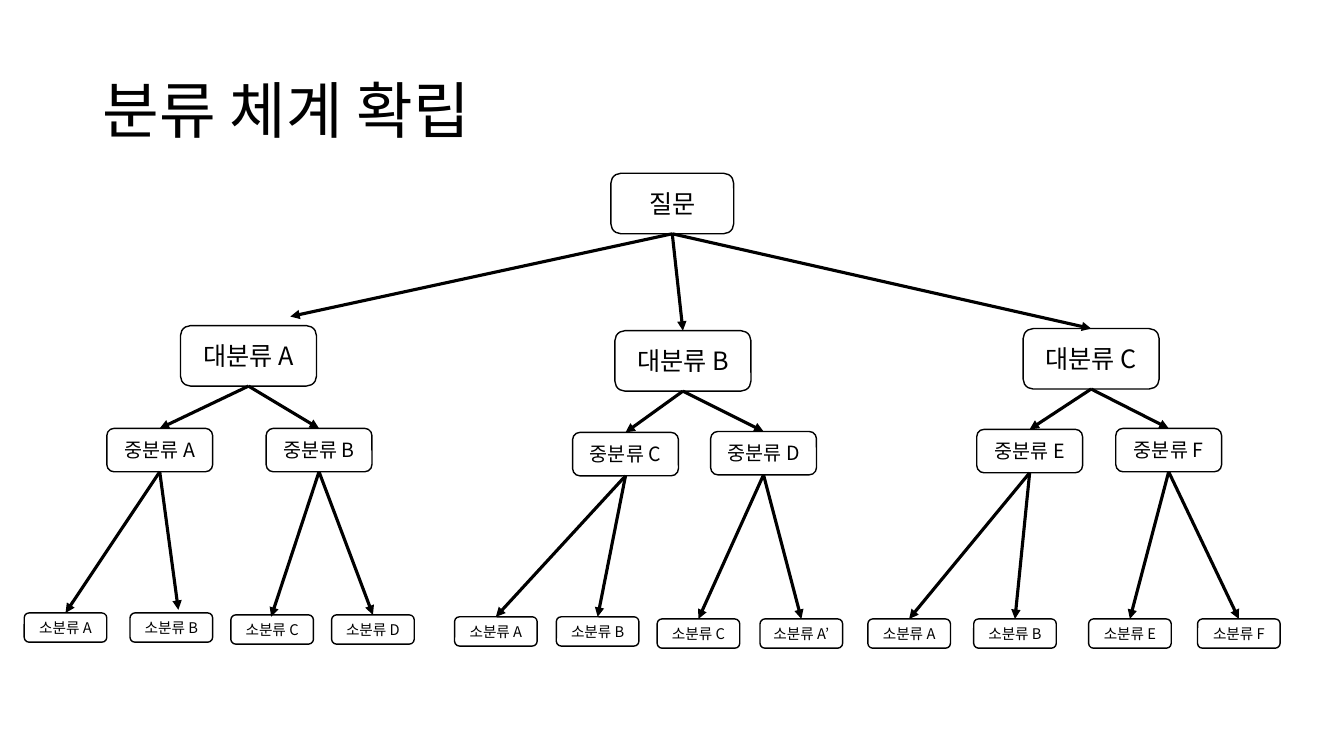
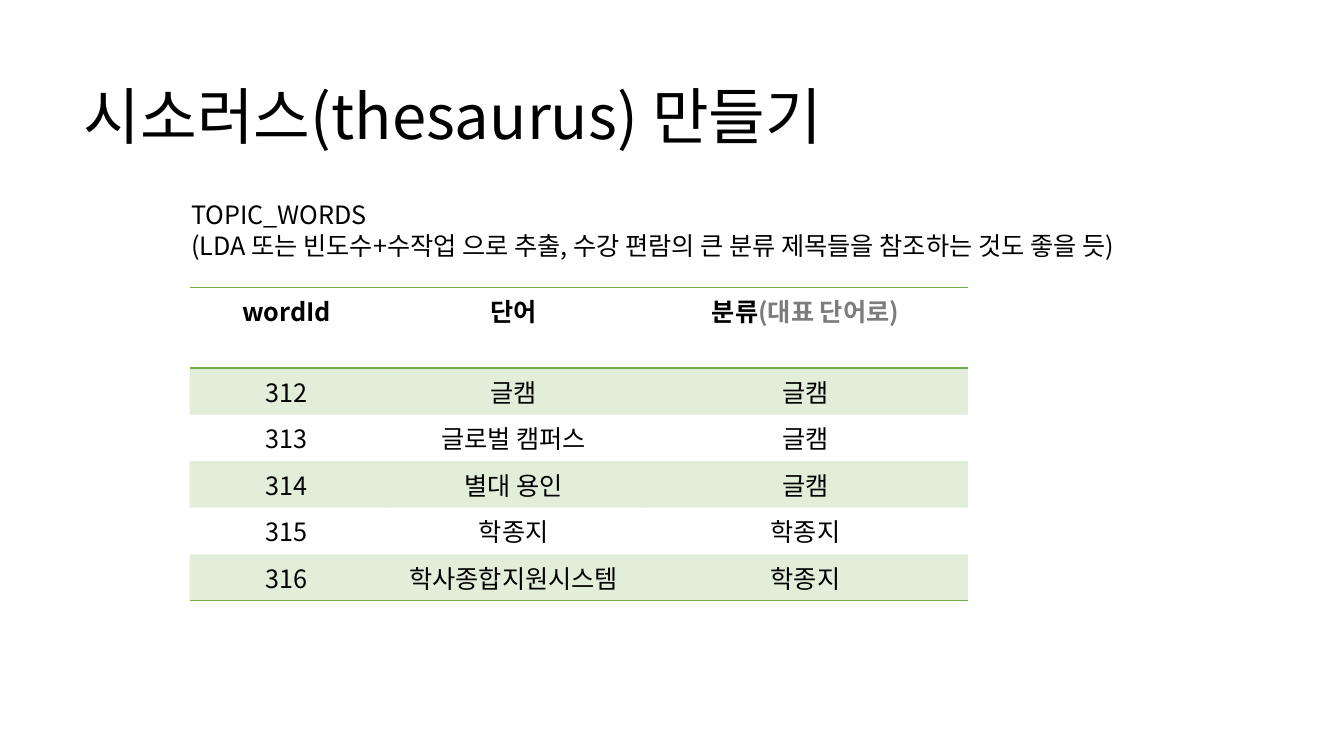
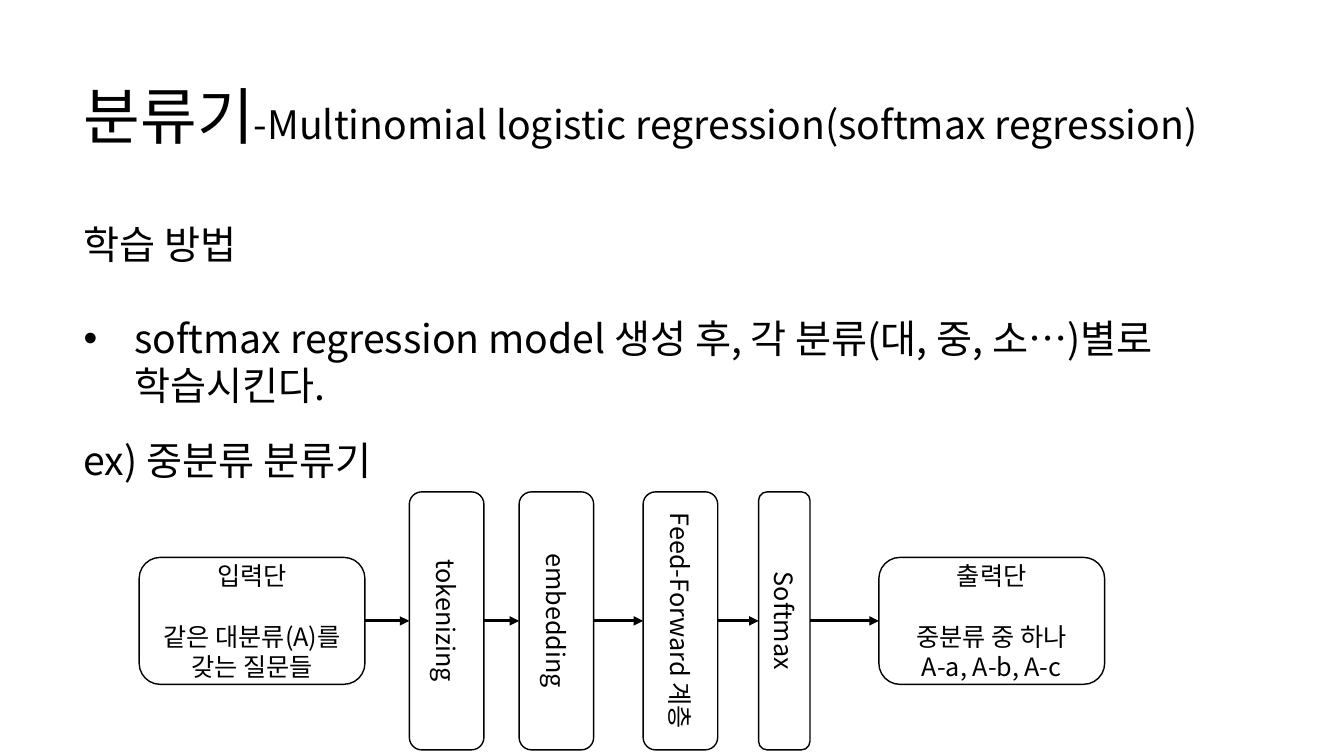
from dataclasses import dataclass
from typing import Optional

from lxml import etree
from pptx import Presentation
from pptx.dml.color import RGBColor
from pptx.enum.shapes import MSO_CONNECTOR, MSO_SHAPE
from pptx.enum.text import MSO_ANCHOR, MSO_AUTO_SIZE, PP_ALIGN
from pptx.oxml.ns import qn
from pptx.util import Pt

COLORS = {"ink": "000000", "paper": "FFFFFF", "green": "70AD47", "muted": "7C7C7C"}
FONT = "Noto Sans CJK KR"
ROUNDED = MSO_SHAPE.ROUNDED_RECTANGLE
STRAIGHT = MSO_CONNECTOR.STRAIGHT
LEFT, CENTER = PP_ALIGN.LEFT, PP_ALIGN.CENTER
MIDDLE, TOP = MSO_ANCHOR.MIDDLE, MSO_ANCHOR.TOP
FIXED = MSO_AUTO_SIZE.NONE
TITLE_ONLY, TITLE_AND_CONTENT = 5, 1
PLAIN_TABLE = "{2D5ABB26-0587-4C30-8999-92F81FD0307C}"
TITLE_AT = (52.6, 33.1)
LEVELS = [(87.8, 43.2, 18), (97.2, 43.2, 18), (75.6, 31, 14), (59, 20.9, 10.5)]


@dataclass
class Node:
    """A category box, its children and an optional arrow tip."""
    label: str
    left: float
    top: float
    children: tuple = ()
    tip: Optional[tuple] = None


TREE = Node("질문", 436.3, 123.8, (
    Node("대분류 A", 128.9, 232.6, (
        Node("중분류 A", 76.3, 306, (
            Node("소분류 A", 17.3, 437.8),
            Node("소분류 B", 92.9, 437.8, tip=(127.4, 435.6)))),
        Node("중분류 B", 190.1, 306, (
            Node("소분류 C", 164.9, 439.2, tip=(193.7, 440.6)),
            Node("소분류 D", 236.9, 439.2)))), tip=(207.4, 226.1)),
    Node("대분류 B", 439.2, 236.2, (
        Node("중분류 C", 409, 308.9, (
            Node("소분류 A", 324.7, 440.6), Node("소분류 B", 397.4, 440.6))),
        Node("중분류 D", 507.6, 308.2, (
            Node("소분류 C", 469.4, 442.1), Node("소분류 A’", 542.9, 442.1))))),
    Node("대분류 C", 730.8, 234.7, (
        Node("중분류 E", 697.7, 306.7, (
            Node("소분류 A", 619.9, 442.1), Node("소분류 B", 695.5, 442.1))),
        Node("중분류 F", 797, 306, (
            Node("소분류 E", 777.6, 442.1), Node("소분류 F", 855.4, 442.1)))))))

WORDS = [
    ("312", "글캠", "글캠"),
    ("313", "글로벌 캠퍼스", "글캠"),
    ("314", "별대 용인", "글캠"),
    ("315", "학종지", "학종지"),
    ("316", "학사종합지원시스템", "학종지"),
]


def color(name):
    """Return a palette colour."""
    return RGBColor.from_string(COLORS[name])


def style(span, size, ink="ink", bold=False):
    """Format one run, for Latin and Korean text alike."""
    font = span.font
    font.name, font.size, font.bold = FONT, Pt(size), bold
    font.color.rgb = color(ink)
    etree.SubElement(font._element, qn("a:ea"), typeface=FONT)


def write(frame, lines, size, align=LEFT, anchor=TOP):
    """Fill a text frame with one paragraph per line."""
    frame.word_wrap = True
    frame.auto_size = FIXED
    frame.vertical_anchor = anchor
    frame.text = "\n".join(lines)
    for para in frame.paragraphs:
        para.alignment = align
        para.space_before = Pt(0)
        for span in para.runs:
            style(span, size)
    return frame.paragraphs


def place(shape, left, top, width, height):
    """Move and size a shape."""
    shape.left, shape.top = Pt(left), Pt(top)
    shape.width, shape.height = Pt(width), Pt(height)


def add_page(deck, layout, title, left, top):
    """Add a slide with its title."""
    page = deck.slides.add_slide(deck.slide_layouts[layout])
    heading = page.shapes.title
    place(heading, left, top, 828, 104.4)
    para = write(heading.text_frame, [title], 44, anchor=MIDDLE)[0]
    para.line_spacing = 0.9
    return page


def add_note(page, lines, size, left, top, width, height):
    """Add a plain text box."""
    box = page.shapes.add_textbox(Pt(left), Pt(top), Pt(width), Pt(height))
    write(box.text_frame, lines, size)


def add_box(page, lines, size, left, top, width, height):
    """Add an outlined rounded box with centred text."""
    box = page.shapes.add_shape(ROUNDED, Pt(left), Pt(top), Pt(width), Pt(height))
    box.shadow.inherit = False
    box.fill.solid()
    box.fill.fore_color.rgb = color("paper")
    box.line.color.rgb = color("ink")
    box.line.width = Pt(1)
    write(box.text_frame, lines, size, CENTER, MIDDLE)
    return box


def add_arrow(page, start, end):
    """Add a straight arrow between two points."""
    arrow = page.shapes.add_connector(STRAIGHT, *map(Pt, (*start, *end)))
    arrow.line.color.rgb = color("ink")
    arrow.line.width = Pt(2.25)
    etree.SubElement(arrow.line._get_or_add_ln(), qn("a:tailEnd"), type="triangle")
    etree.SubElement(arrow._element.spPr, qn("a:effectLst"))


def add_branch(page, node, level=0):
    """Draw a category and everything below it."""
    width, height, size = LEVELS[level]
    add_box(page, [node.label], size, node.left, node.top, width, height)
    start = (node.left + width / 2, node.top + height)
    for child in node.children:
        add_branch(page, child, level + 1)
        top_center = (child.left + LEVELS[level + 1][0] / 2, child.top)
        add_arrow(page, start, child.tip or top_center)


def add_border(cell, edge):
    """Draw a green line along one edge of a cell."""
    line = etree.SubElement(cell._tc.get_or_add_tcPr(), qn(f"a:{edge}"), w=str(Pt(1)))
    fill = etree.SubElement(line, qn("a:solidFill"))
    etree.SubElement(fill, qn("a:srgbClr"), val=COLORS["green"])


def fill_cell(cell, banded):
    """Give a cell a light green tint or no fill."""
    if not banded:
        cell.fill.background()
        return
    cell.fill.solid()
    cell.fill.fore_color.rgb = color("green")
    tint = cell._tc.tcPr.find(f".//{qn('a:solidFill')}[last()]/{qn('a:srgbClr')}")
    for tint in cell._tc.tcPr.findall(f"{qn('a:solidFill')}/{qn('a:srgbClr')}"):
        etree.SubElement(tint, qn("a:alpha"), val="20000")


def add_word_table(page):
    """Add the thesaurus table."""
    rows = [("wordId", "단어", "분류"), *WORDS]
    frame = page.shapes.add_table(len(rows), 3, Pt(135.4), Pt(205.2), Pt(555.9), Pt(183.6))
    table = frame.table
    table._tbl.tblPr.find(qn("a:tableStyleId")).text = PLAIN_TABLE
    table.horz_banding = False
    for column, width in zip(table.columns, (139, 185, 231.9)):
        column.width = Pt(width)
    for number, values in enumerate(rows):
        header = number == 0
        table.rows[number].height = Pt(57.6 if header else 25.2)
        for cell, value in zip(table.rows[number].cells, values):
            cell.text = value
            para = cell.text_frame.paragraphs[0]
            para.alignment = CENTER
            style(para.runs[0], 18, bold=header)
            if header:
                add_border(cell, "lnT")
            if header or number == len(rows) - 1:
                add_border(cell, "lnB")
            fill_cell(cell, number % 2 == 1)
    hint = table.cell(0, 2).text_frame.paragraphs[0].add_run()
    hint.text = "(대표 단어로)"
    style(hint, 18, "muted", True)


def set_bullet(para, indent):
    """Give a paragraph a hanging bullet, or none without an indent."""
    props = para._p.get_or_add_pPr()
    props.set("marL", str(Pt(indent)))
    props.set("indent", str(-Pt(indent)))
    if indent:
        etree.SubElement(props, qn("a:buFont"), typeface="Arial")
        etree.SubElement(props, qn("a:buChar"), char="•")
    else:
        etree.SubElement(props, qn("a:buNone"))


def add_pipeline(page):
    """Draw the classifier stages from input to output."""
    middle, length, end_width, end_height = 443.5, 184.3, 161.3, 90.7
    ends = [
        (99.4, ["입력단", "같은 대분류(A)를 갖는 질문들"]),
        (627.8, ["출력단", "중분류 중 하나", "A-a, A-b, A-c"]),
    ]
    stages = [("tokenizing", 319, 53.3), ("embedding", 397.4, 53.3),
              ("Feed-Forward 계층", 486, 53.3), ("Softmax", 560.2, 36.7)]
    spans = [(left, left + end_width) for left, _ in ends]
    for left, lines in ends:
        box = add_box(page, lines, 18, left, middle - end_height / 2, end_width, end_height)
        box.text_frame.paragraphs[1].space_before = Pt(22)
    for label, center, thickness in stages:
        box = add_box(page, [label], 18, center - length / 2, middle - thickness / 2,
                      length, thickness)
        box.rotation = 90
        spans.append((center - thickness / 2, center + thickness / 2))
    spans.sort()
    for (_, right), (left, _) in zip(spans, spans[1:]):
        add_arrow(page, (right, middle), (left, middle))


def build_taxonomy(deck):
    """Build the category tree slide."""
    page = add_page(deck, TITLE_ONLY, "분류 체계 확립", 66.2, 28.8)
    add_branch(page, TREE)


def build_thesaurus(deck):
    """Build the thesaurus slide."""
    page = add_page(deck, TITLE_ONLY, "시소러스(thesaurus) 만들기", *TITLE_AT)
    add_word_table(page)
    add_note(page, ["TOPIC_WORDS",
                    "(LDA 또는 빈도수+수작업 으로 추출, 수강 편람의 큰 분류 제목들을 "
                    "참조하는 것도 좋을 듯)"], 18, 129.6, 139, 758.9, 51.1)


def build_classifier(deck):
    """Build the classifier slide."""
    page = add_page(deck, TITLE_AND_CONTENT, "분류기", *TITLE_AT)
    subtitle = page.shapes.title.text_frame.paragraphs[0].add_run()
    subtitle.text = "-Multinomial logistic regression(softmax regression)"
    style(subtitle, 28)
    body = page.placeholders[1]
    place(body, 52.6, 153.4, 816.5, 143.3)
    method, step = write(body.text_frame, [
        "학습 방법",
        "softmax regression model 생성 후, 각 분류(대, 중, 소…)별로 학습시킨다."], 28)
    set_bullet(method, 0)
    set_bullet(step, 36)
    step.space_before = Pt(34)
    add_note(page, ["ex) 중분류 분류기"], 28, 52.6, 308.2, 816.5, 74.9)
    add_pipeline(page)


def main():
    """Build and save the deck."""
    deck = Presentation()
    deck.slide_width, deck.slide_height = Pt(960), Pt(540)
    build_taxonomy(deck)
    build_thesaurus(deck)
    build_classifier(deck)
    deck.save("out.pptx")


main()
